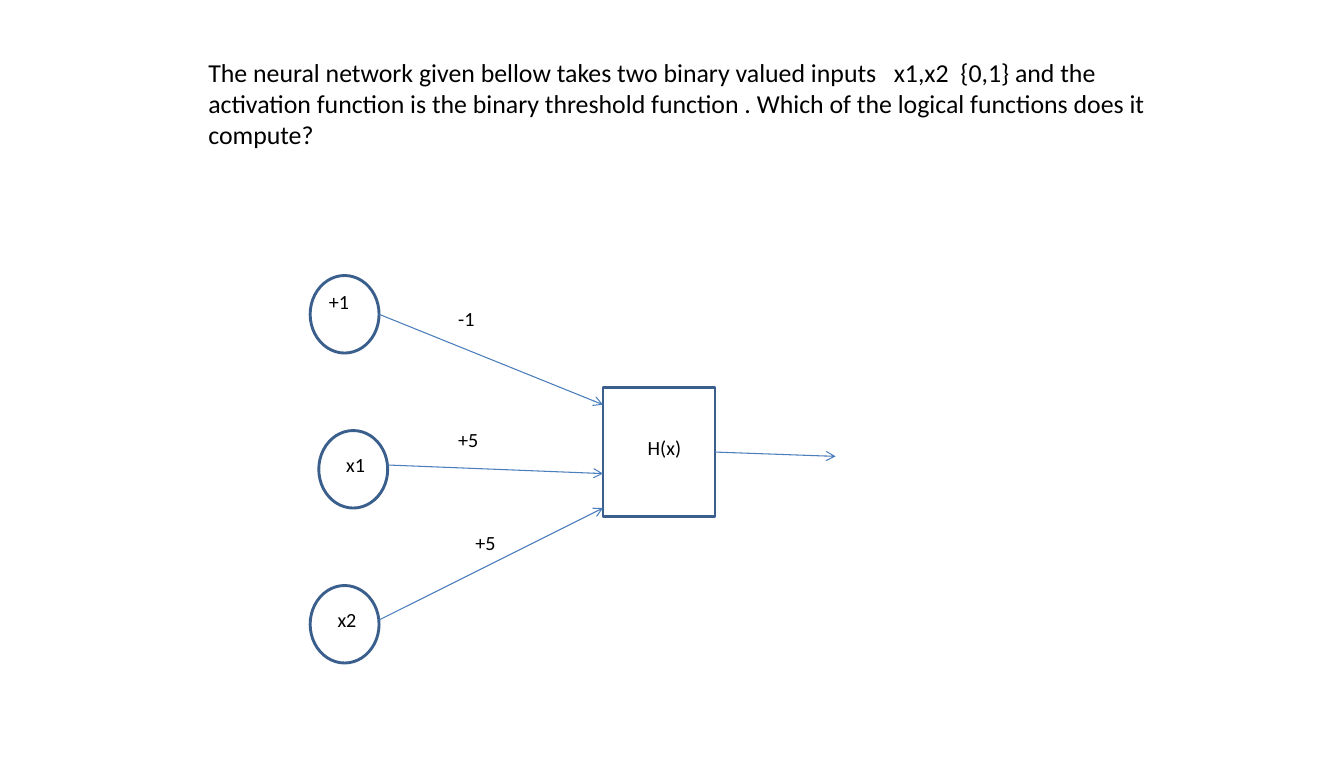
from lxml import etree
from pptx import Presentation
from pptx.dml.color import RGBColor
from pptx.enum.shapes import MSO_CONNECTOR, MSO_SHAPE
from pptx.enum.text import MSO_AUTO_SIZE
from pptx.oxml.ns import qn
from pptx.util import Emu, Pt

EMU_PER_PX = 9525


def px(length):
    return Emu(length * EMU_PER_PX)


def color(hex_string):
    return RGBColor.from_string(hex_string)


def write_text(text_frame, text, size=14, font="Calibri", text_color="000000"):
    run = text_frame.paragraphs[0].add_run()
    run.text = text
    run.font.size = Pt(size)
    run.font.name = font
    run.font.color.rgb = color(text_color)


class Diagram:
    fill = "FFFFFF"
    outline = "3A5F8C"
    arrow_color = "4B7EBC"

    def __init__(self, slide):
        self.slide = slide

    def node(self, preset, left, top, width, height):
        shape = self.slide.shapes.add_shape(
            preset, px(left), px(top), px(width), px(height))
        shape.shadow.inherit = False
        shape.fill.solid()
        shape.fill.fore_color.rgb = color(self.fill)
        shape.line.color.rgb = color(self.outline)
        shape.line.width = Pt(2)

    def arrow(self, start_x, start_y, end_x, end_y):
        connector = self.slide.shapes.add_connector(
            MSO_CONNECTOR.STRAIGHT, px(start_x), px(start_y), px(end_x), px(end_y))
        connector.line.color.rgb = color(self.arrow_color)
        connector.line.width = Pt(0.75)
        line = connector.line._get_or_add_ln()
        etree.SubElement(line, qn("a:tailEnd"), type="arrow")
        etree.SubElement(connector._element.spPr, qn("a:effectLst"))

    def label(self, text, left, top, width=40, height=33, **text_format):
        box = self.slide.shapes.add_textbox(px(left), px(top), px(width), px(height))
        box.text_frame.word_wrap = True
        box.text_frame.auto_size = MSO_AUTO_SIZE.SHAPE_TO_FIT_TEXT
        write_text(box.text_frame, text, **text_format)


def main():
    presentation = Presentation()
    presentation.slide_width = px(1248)
    presentation.slide_height = px(720)
    slide = presentation.slides.add_slide(presentation.slide_layouts[6])
    diagram = Diagram(slide)

    # Input neurons and threshold unit
    for left, top in [(288, 256), (296, 400), (288, 544)]:
        diagram.node(MSO_SHAPE.OVAL, left, top, 64, 72)
    unit_left, unit_width = 560, 104
    diagram.node(MSO_SHAPE.RECTANGLE, unit_left, 360, unit_width, 120)

    # Weighted connections and output
    for start_x, start_y, end_y in [(352, 292, 376), (360, 432, 440), (352, 576, 472)]:
        diagram.arrow(start_x, start_y, unit_left, end_y)
    diagram.arrow(unit_left + unit_width, 420, 776, 424)

    # Neuron names
    for name, left, top in [("+1", 296, 264), ("x1", 312, 416), ("x2", 304, 560)]:
        diagram.label(name, left, top)
    diagram.label("H(x)", 592, 400, width=56)

    # Weights
    for weight, left, top in [("-1", 416, 280), ("+5", 416, 392), ("+5", 432, 488)]:
        diagram.label(weight, left, top)

    # Question
    diagram.label(
        "The neural network given bellow takes two binary valued inputs   x1,x2  {0,1} "
        "and the activation function is the binary threshold function . "
        "Which of the logical functions does it compute?",
        184, 48, width=928, height=97, size=18)

    presentation.save("out.pptx")


if __name__ == "__main__":
    main()
